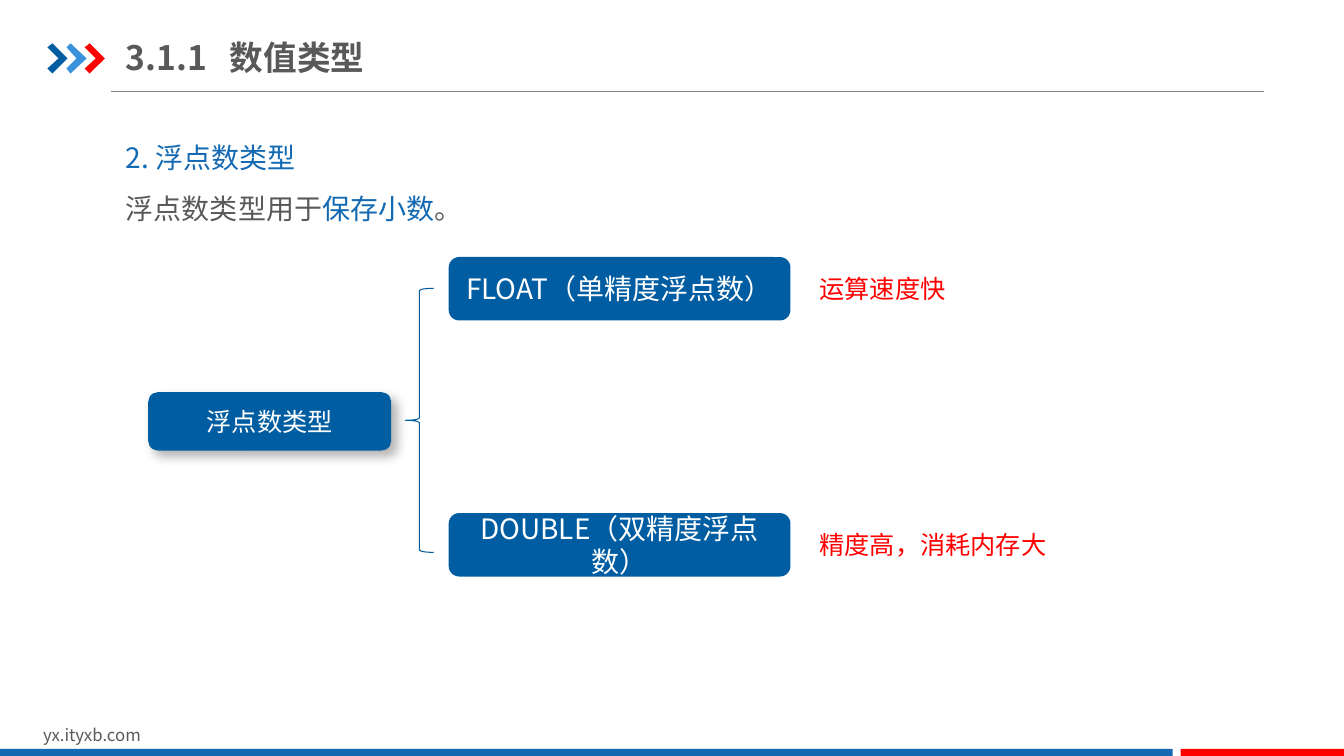
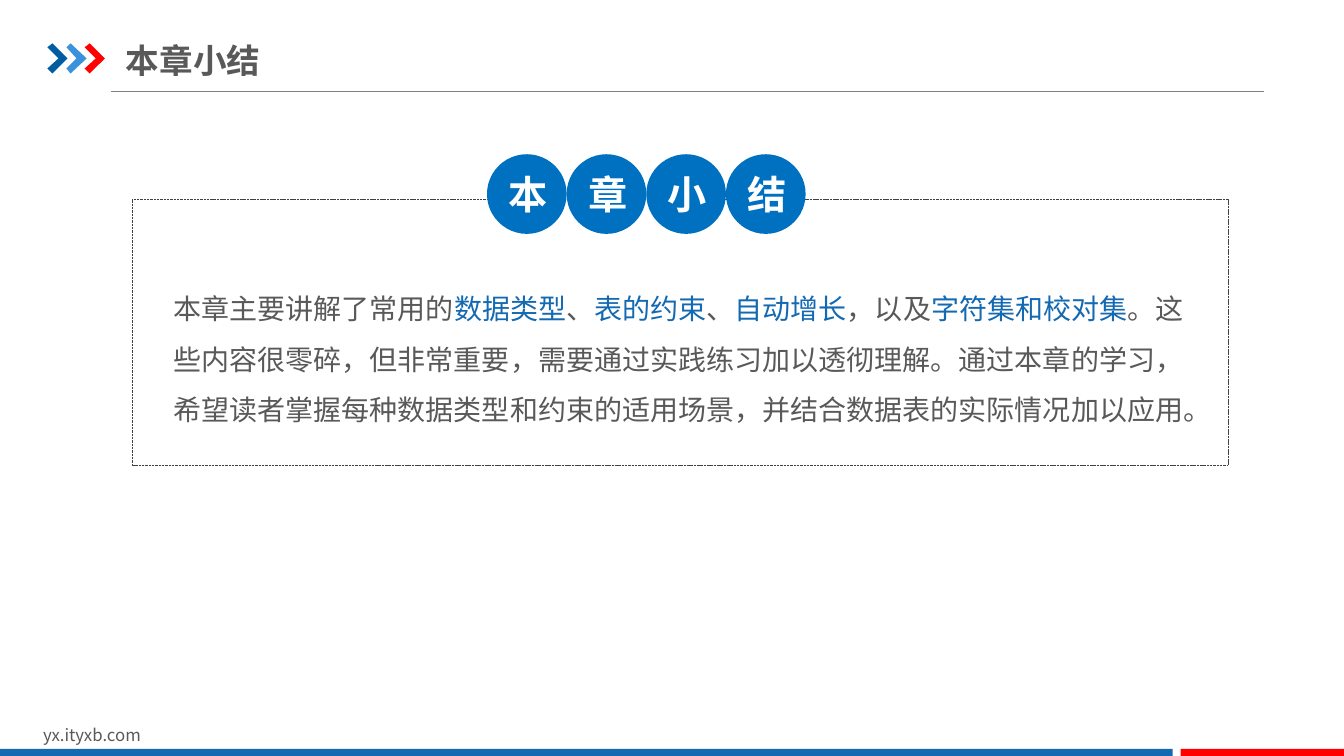
"""Two lesson slides: floating point types and the chapter summary."""
from dataclasses import dataclass

from lxml.etree import SubElement
from pptx import Presentation
from pptx.dml.color import RGBColor
from pptx.enum.dml import MSO_LINE
from pptx.enum.shapes import MSO_CONNECTOR, MSO_SHAPE as SHAPE
from pptx.enum.text import MSO_ANCHOR as ANCHOR, PP_ALIGN as ALIGN
from pptx.oxml.ns import qn
from pptx.util import Inches, Pt


@dataclass(frozen=True)
class Theme:
    font: str = "Noto Sans CJK SC"
    text: str = "595959"
    accent: str = "1369B2"
    node: str = "005DA2"
    sky: str = "3992DB"
    badge: str = "0070C0"
    brace: str = "005B9E"
    rule: str = "808080"
    frame: str = "404040"
    red: str = "FF0000"
    white: str = "FFFFFF"
    title_size: int = 24
    body_size: int = 20
    label_size: int = 18
    badge_size: int = 28
    footer_size: int = 12


T = Theme()
WIDTH, HEIGHT = 13.33, 7.5

FOOTER = "yx.ityxb.com"
FOOTER_BARS = [(0, 11.63, T.accent), (11.71, WIDTH - 11.71, T.red)]
CHEVRON = [(0, 4), (5, 0), (20, 15), (5, 30), (0, 25), (11, 15)]
CHEVRON_COLORS = [T.node, T.sky, T.red]

FLOAT_TITLE = "3.1.1\t数值类型"
FLOAT_INTRO = [
    [("2. 浮点数类型", T.accent)],
    [("浮点数类型用于", T.text), ("保存小数", T.accent), ("。", T.text)],
]
ROOT = "浮点数类型"
BRANCHES = [
    ("FLOAT（单精度浮点数）", "运算速度快"),
    ("DOUBLE（双精度浮点数）", "精度高，消耗内存大"),
]

SUMMARY_TITLE = "本章小结"
SUMMARY = [[
    ("本章主要讲解了常用的", T.text), ("数据类型", T.accent), ("、", T.text),
    ("表的约束", T.accent), ("、", T.text), ("自动增长", T.accent),
    ("，以及", T.text), ("字符集和校对集", T.accent),
    ("。这些内容很零碎，但非常重要，需要通过实践练习加以透彻理解。通过本章的学习，"
     "希望读者掌握每种数据类型和约束的适用场景，并结合数据表的实际情况加以应用。", T.text),
]]


def rgb(color):
    return RGBColor.from_string(color)


def write(s, paragraphs, size, bold=False, align=ALIGN.LEFT,
          anchor=ANCHOR.MIDDLE, spacing=None, insets=(0.1, 0.05)):
    tf = s.text_frame
    tf.word_wrap = True
    tf.vertical_anchor = anchor
    tf.margin_left = tf.margin_right = Inches(insets[0])
    tf.margin_top = tf.margin_bottom = Inches(insets[1])
    for i, runs in enumerate(paragraphs):
        p = tf.add_paragraph() if i else tf.paragraphs[0]
        p.alignment = align
        if spacing:
            p.line_spacing = spacing
        for text, color in runs:
            r = p.add_run()
            r.text = text
            r.font.size, r.font.bold, r.font.name = Pt(size), bold, T.font
            r.font.color.rgb = rgb(color)
            SubElement(r.font._element, qn("a:ea"), typeface=T.font)
    return tf


def add_text(slide, box, paragraphs, size, **style):
    s = slide.shapes.add_textbox(*map(Inches, box))
    return write(s, paragraphs, size, **style)


def paint(s, fill=None, line=None, width=0.75):
    s.shadow.inherit = False
    if fill:
        s.fill.solid()
        s.fill.fore_color.rgb = rgb(fill)
    else:
        s.fill.background()
    if line:
        s.line.color.rgb = rgb(line)
        s.line.width = Pt(width)
    else:
        s.line.fill.background()
    return s


def add_shape(slide, kind, box, **style):
    return paint(slide.shapes.add_shape(kind, *map(Inches, box)), **style)


def add_node(slide, kind, box, fill, text, size, bold=False):
    s = add_shape(slide, kind, box, fill=fill)
    write(s, [[(text, T.white)]], size, bold=bold, align=ALIGN.CENTER)
    return s


def add_drop_shadow(s):
    effects = s._element.spPr.find(qn("a:effectLst"))
    shadow = SubElement(effects, qn("a:outerShdw"), blurRad=str(Pt(8)),
                        dist=str(Pt(6)), dir="2700000", algn="tl", rotWithShape="0")
    color = SubElement(shadow, qn("a:srgbClr"), val="000000")
    SubElement(color, qn("a:alpha"), val="30000")


def add_page(prs, title, title_top):
    slide = prs.slides.add_slide(prs.slide_layouts[6])
    rule = slide.shapes.add_connector(
        MSO_CONNECTOR.STRAIGHT, *map(Inches, (1.1, 0.91, 12.54, 0.91)))
    rule.line.color.rgb = rgb(T.rule)
    rule.line.width = Pt(0.75)
    SubElement(rule._element.spPr, qn("a:effectLst"))
    for i, color in enumerate(CHEVRON_COLORS):
        points = [(47 + 18.5 * i + x, 43 + y) for x, y in CHEVRON]
        outline = slide.shapes.build_freeform(*points[0], scale=Inches(0.01))
        outline.add_line_segments(points[1:], close=True)
        paint(outline.convert_to_shape(), fill=color)
    add_text(slide, (0.33, 7.14, 3.18, 0.3), [[(FOOTER, T.text)]], T.footer_size,
             anchor=ANCHOR.TOP)
    for left, width, color in FOOTER_BARS:
        add_shape(slide, SHAPE.RECTANGLE, (left, 7.43, width, HEIGHT - 7.43), fill=color)
    tf = add_text(slide, (1.25, title_top, 5.26, 0.84 - title_top),
                  [[(title, T.text)]], T.title_size, bold=True, insets=(0, 0.07))
    if "\t" in title:
        tabs = SubElement(tf.paragraphs[0]._p.get_or_add_pPr(), qn("a:tabLst"))
        SubElement(tabs, qn("a:tab"), pos=str(Inches(1.03)), algn="l")
    return slide


def float_slide(prs):
    slide = add_page(prs, FLOAT_TITLE, 0.29)
    add_text(slide, (1.15, 1.18, 11.4, 1.11), FLOAT_INTRO, T.body_size,
             anchor=ANCHOR.TOP, spacing=1.5)
    for i, (name, remark) in enumerate(BRANCHES):
        top, height = 2.55 + 2.54 * i, 0.63
        add_node(slide, SHAPE.ROUNDED_RECTANGLE, (4.45, top, 3.39, height),
                 T.node, name, T.body_size)
        add_text(slide, (8.03, top, 2.83, height), [[(remark, T.red)]], T.label_size)
    root = add_node(slide, SHAPE.ROUNDED_RECTANGLE, (1.47, 3.89, 2.41, 0.58),
                    T.node, ROOT, T.label_size)
    add_drop_shadow(root)
    add_shape(slide, SHAPE.LEFT_BRACE, (4.02, 2.86, 0.28, 2.62), line=T.brace)


def summary_slide(prs):
    slide = add_page(prs, SUMMARY_TITLE, 0.36)
    frame = add_shape(slide, SHAPE.RECTANGLE, (1.31, 1.98, 10.87, 2.64),
                      line=T.frame, width=0.25)
    frame.line.dash_style = MSO_LINE.SQUARE_DOT
    add_text(slide, (1.72, 2.73, 10.06, 1.46), SUMMARY, T.body_size,
             anchor=ANCHOR.TOP, spacing=1.5, insets=(0, 0))
    size = 0.79
    for i, char in enumerate(SUMMARY_TITLE):
        add_node(slide, SHAPE.OVAL, (4.83 + size * i, 1.53, size, size),
                 T.badge, char, T.badge_size, bold=True)


def main():
    prs = Presentation()
    prs.slide_width, prs.slide_height = Inches(WIDTH), Inches(HEIGHT)
    float_slide(prs)
    summary_slide(prs)
    prs.save("out.pptx")


if __name__ == "__main__":
    main()
